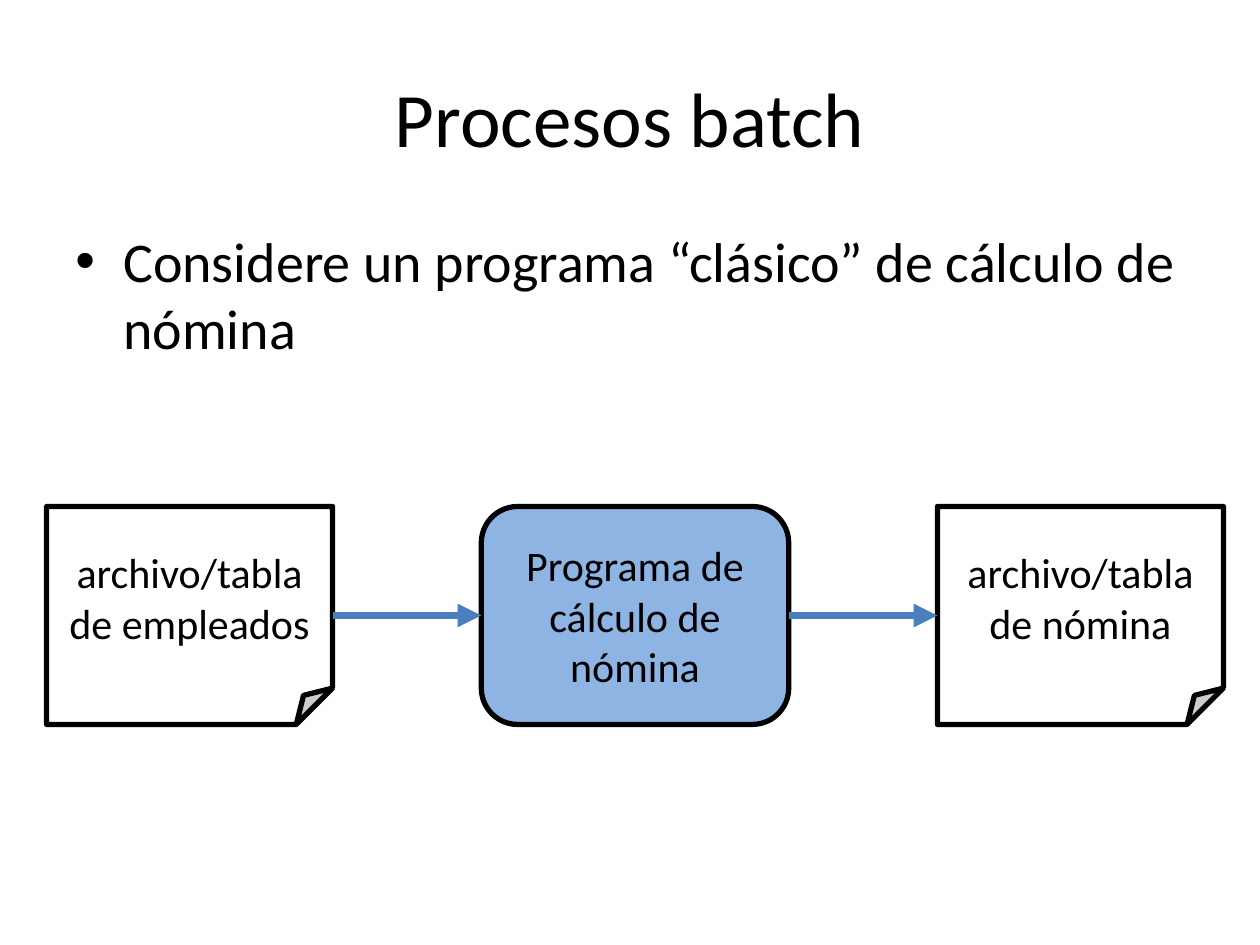
from lxml import etree
from pptx import Presentation
from pptx.dml.color import RGBColor
from pptx.enum.shapes import MSO_CONNECTOR as Link, MSO_SHAPE as Shape
from pptx.enum.text import MSO_ANCHOR as Anchor, PP_ALIGN as Align
from pptx.oxml.ns import qn
from pptx.util import Inches, Pt

COLORS = {"ink": "000000", "paper": "FFFFFF", "program": "8EB4E3", "arrow": "4B7EBC"}


def color(name):
    """Return the named colour."""
    return RGBColor.from_string(COLORS[name])


def write(shape, text, size, align, anchor):
    """Put one paragraph of text into a shape and return it."""
    frame = shape.text_frame
    frame.word_wrap = True
    frame.vertical_anchor = anchor
    para = frame.paragraphs[0]
    para.text = text
    para.alignment = align
    para.font.name = "Calibri"
    para.font.size = Pt(size)
    para.font.color.rgb = color("ink")
    return para


deck = Presentation()
deck.slide_width, deck.slide_height = Inches(10), Inches(7.5)
slide = deck.slides.add_slide(deck.slide_layouts[6])
shapes = slide.shapes

# Title and bullet
title = shapes.add_textbox(Inches(0.5), Inches(0.3), Inches(9), Inches(1.25))
write(title, "Procesos batch", 44, Align.CENTER, Anchor.MIDDLE)

body = shapes.add_textbox(Inches(0.5), Inches(1.75), Inches(9), Inches(4.95))
para = write(body, "Considere un programa “clásico” de cálculo de nómina",
             32, Align.LEFT, Anchor.TOP)
para.space_before = Pt(6.4)
props = para._p.get_or_add_pPr()
props.set("marL", str(Inches(0.38)))
props.set("indent", str(Inches(-0.38)))
etree.SubElement(props, qn("a:buFont")).set("typeface", "Arial")
etree.SubElement(props, qn("a:buChar")).set("char", "•")

# Flow from input file through program to output file
steps = [
    (Shape.FOLDED_CORNER, 2.27, "paper", "archivo/tabla de empleados"),
    (Shape.ROUNDED_RECTANGLE, 2.44, "program", "Programa de cálculo de nómina"),
    (Shape.FOLDED_CORNER, 2.27, "paper", "archivo/tabla de nómina"),
]
left, top, height, gap = 0.37, 4.02, 1.73, 1.18
middle = Inches(top + height / 2)
boxes = []
for kind, width, fill, text in steps:
    box = shapes.add_shape(kind, Inches(left), Inches(top), Inches(width), Inches(height))
    box.shadow.inherit = False
    box.fill.solid()
    box.fill.fore_color.rgb = color(fill)
    box.line.color.rgb = color("ink")
    box.line.width = Pt(3)
    write(box, text, 24, Align.CENTER, Anchor.MIDDLE)
    boxes.append(box)
    left += width + gap

for start, end in zip(boxes, boxes[1:]):
    arrow = shapes.add_connector(Link.STRAIGHT, start.left + start.width, middle,
                                 end.left, middle)
    arrow.line.color.rgb = color("arrow")
    arrow.line.width = Pt(4.5)
    etree.SubElement(arrow.line._get_or_add_ln(), qn("a:tailEnd")).set("type", "triangle")
    etree.SubElement(arrow._element.spPr, qn("a:effectLst"))

deck.save("out.pptx")
